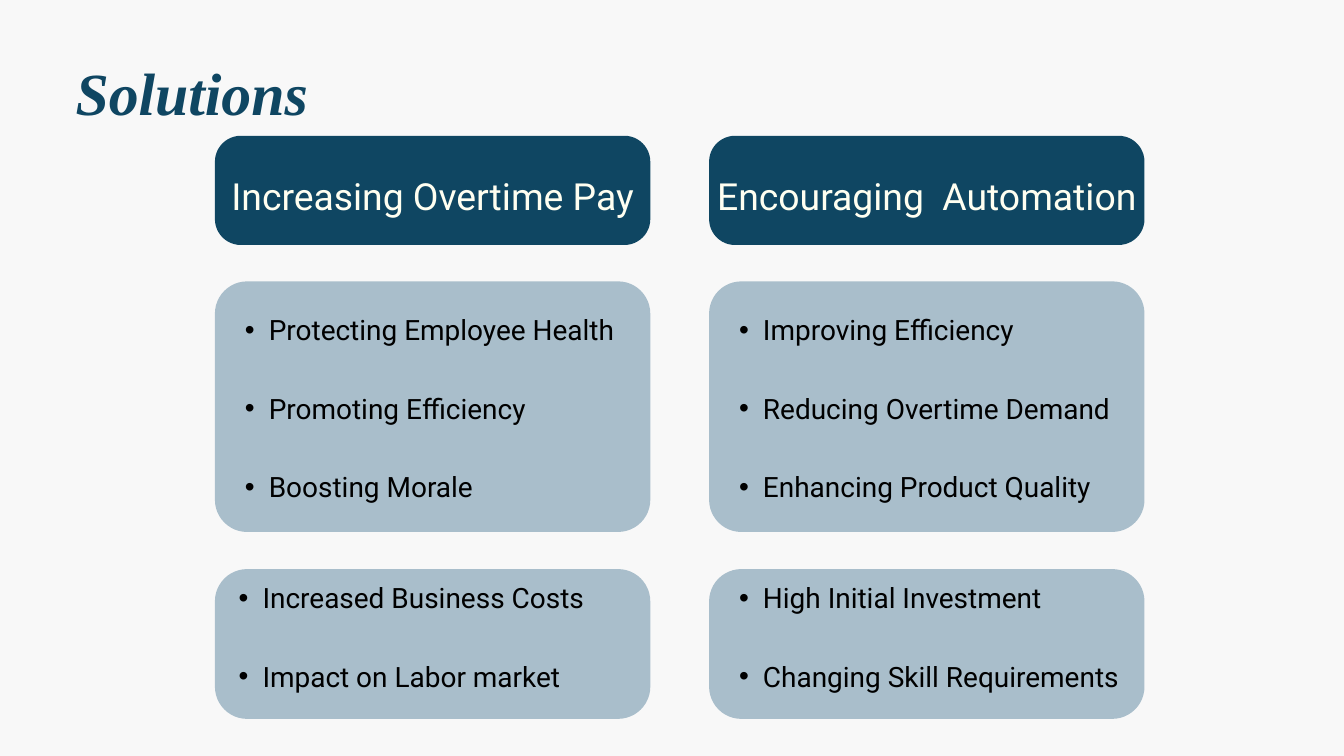
from lxml import etree
from pptx import Presentation
from pptx.dml.color import RGBColor
from pptx.enum.shapes import MSO_SHAPE
from pptx.enum.text import PP_ALIGN
from pptx.oxml.ns import qn
from pptx.util import Pt

ROUNDED = MSO_SHAPE.ROUNDED_RECTANGLE
LEFT, CENTER = PP_ALIGN.LEFT, PP_ALIGN.CENTER
PX = 9525  # EMU per px, 96 px to the inch

THEME = {
    "background": "F8F8F8",
    "header": "0F4662",
    "panel": "A9BECB",
    "title_text": {"name": "Times New Roman", "size": 64, "bold": True, "italic": True, "color": "0F4662"},
    "header_text": {"name": "Roboto", "size": 40, "color": "FFFFF1"},
    "bullet_text": {"name": "Roboto", "size": 30, "color": "000000"},
}
LINE_RATIO = 1.4  # line height over type size


def add_panel(x, y, w, h, radius, color):
    sp = s.shapes.add_shape(ROUNDED, x * PX, y * PX, w * PX, h * PX)
    sp.adjustments[0] = radius / min(w, h)
    sp.shadow.inherit = False
    sp.fill.solid()
    sp.fill.fore_color.rgb = RGBColor.from_string(color)
    sp.line.fill.background()


def add_text(x, y, w, h, lines, style, align=LEFT, bullets=False):
    """Place lines in a box without insets; bulleted lines have an open line between them."""
    tf = s.shapes.add_textbox(x * PX, y * PX, w * PX, h * PX).text_frame
    tf.word_wrap = True
    for side in ("left", "top", "right", "bottom"):
        setattr(tf, f"margin_{side}", 0)
    line_height = Pt(style["size"] * LINE_RATIO)
    for i, line in enumerate(lines):
        p = tf.paragraphs[0] if i == 0 else tf.add_paragraph()
        p.alignment = align
        p.line_spacing = line_height
        if i:
            p.space_before = line_height
        if bullets:
            p.level = 1
            pPr = p._p.get_or_add_pPr()
            pPr.set("marL", str(68 * PX))
            pPr.set("indent", str(-34 * PX))
            etree.SubElement(pPr, qn("a:buFont")).set("typeface", "Arial")
            etree.SubElement(pPr, qn("a:buChar")).set("char", "•")
        r = p.add_run()
        r.text = line
        for key, value in style.items():
            if key == "color":
                r.font.color.rgb = RGBColor.from_string(value)
            else:
                setattr(r.font, key, Pt(value) if key == "size" else value)


prs = Presentation()
prs.slide_width, prs.slide_height = 1920 * PX, 1080 * PX
s = prs.slides.add_slide(prs.slide_layouts[6])
s.background.fill.solid()
s.background.fill.fore_color.rgb = RGBColor.from_string(THEME["background"])

add_text(108, 63, 1041, 114, ["Solutions"], THEME["title_text"])

COLUMN_W, TEXT_W = 622, 604
# column left, header, benefits, drawbacks, inset of the drawbacks
columns = [
    (307, "Increasing Overtime Pay",
     ["Protecting Employee Health", "Promoting Efficiency", "Boosting Morale"],
     ["Increased Business Costs", "Impact on Labor market"], 0),
    (1013, "Encouraging  Automation",
     ["Improving Efficiency", "Reducing Overtime Demand", "Enhancing Product Quality"],
     ["High Initial Investment", "Changing Skill Requirements"], 9),
]
for x, header, benefits, drawbacks, inset in columns:
    add_panel(x, 194, COLUMN_W, 156, 37, THEME["header"])
    add_text(x, 237, COLUMN_W, 71, [header], THEME["header_text"], align=CENTER)
    # panel top and height, text top and height, text inset, lines
    for top, height, text_top, text_h, dx, lines in (
        (402, 358, 439, 279, 9, benefits),
        (813, 214, 822, 223, inset, drawbacks),
    ):
        add_panel(x, top, COLUMN_W, height, 46, THEME["panel"])
        add_text(x + dx, text_top, TEXT_W, text_h, lines, THEME["bullet_text"], bullets=True)

prs.save("out.pptx")
